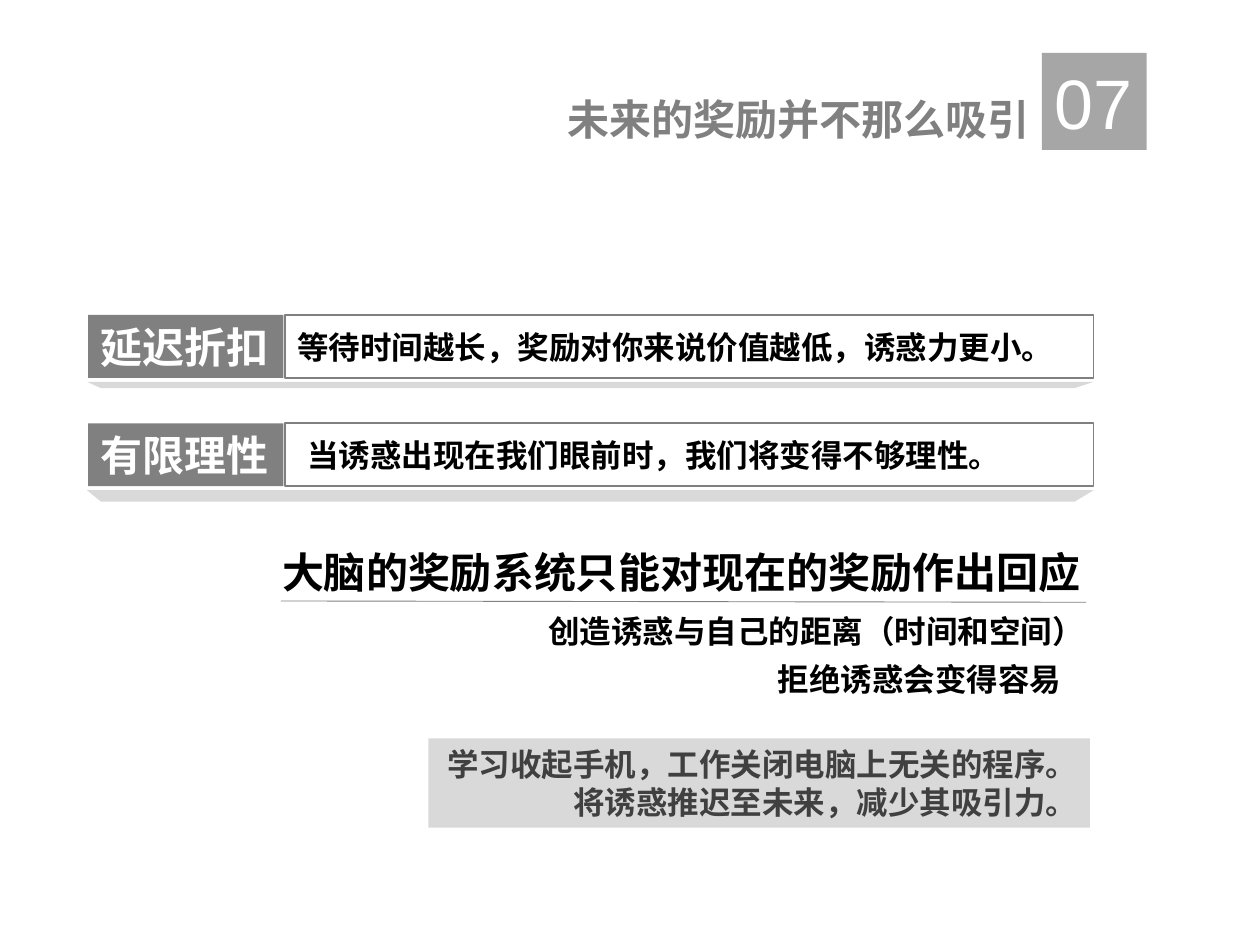
from pptx import Presentation
from pptx.dml.color import RGBColor
from pptx.enum.shapes import MSO_CONNECTOR, MSO_SHAPE
from pptx.enum.text import MSO_ANCHOR, PP_ALIGN
from pptx.oxml.ns import qn
from pptx.util import Inches, Pt
from lxml import etree

RECT = MSO_SHAPE.RECTANGLE
LINE = MSO_CONNECTOR.STRAIGHT
MID = MSO_ANCHOR.MIDDLE
LEFT, RIGHT, JUST = PP_ALIGN.LEFT, PP_ALIGN.RIGHT, PP_ALIGN.JUSTIFY
SANS, ARIAL = "Noto Sans CJK SC", "Arial"
C = {"gray": "808080", "mid": "A6A6A6", "pale": "D9D9D9",
     "dark": "404040", "black": "000000", "white": "FFFFFF"}

prs = Presentation()
prs.slide_width, prs.slide_height = Inches(10), Inches(7.5)
slide = prs.slides.add_slide(prs.slide_layouts[5])
shapes = slide.shapes


def write(shape, lines, size, color, align=LEFT, font=SANS, bold=True, wrap=True):
    frame = shape.text_frame
    frame.word_wrap = wrap
    frame.vertical_anchor = MID
    for i, line in enumerate(lines):
        para = frame.add_paragraph() if i else frame.paragraphs[0]
        para.alignment = align
        if len(lines) > 1:
            para.line_spacing = Pt(21.7)
        run = para.add_run()
        run.text = line
        run.font.size, run.font.bold, run.font.name = Pt(size), bold, font
        run.font.color.rgb = RGBColor.from_string(C[color])
        east = etree.SubElement(run.font._element, qn("a:ea"))
        east.set("typeface", SANS)
    return frame


def box(x, y, w, h, fill=None, line=None):
    shape = shapes.add_shape(RECT, Inches(x), Inches(y), Inches(w), Inches(h))
    shape.shadow.inherit = False
    if fill:
        shape.fill.solid()
        shape.fill.fore_color.rgb = RGBColor.from_string(C[fill])
    else:
        shape.fill.background()
    if line:
        shape.line.color.rgb = RGBColor.from_string(C[line])
        shape.line.width = Pt(1)
    else:
        shape.line.fill.background()
    return shape


# Title and number
title = shapes.title
title.left, title.top = Inches(2.51), Inches(0.69)
title.width, title.height = Inches(5.76), Inches(0.5)
write(title, ["未来的奖励并不那么吸引"], 24, "gray", RIGHT)
badge = box(8.27, 0.42, 0.83, 0.77, "mid")
write(badge, ["07"], 40, "white", font=ARIAL, bold=False, wrap=False)

# Two terms: tag, framed text and a slanted edge below
rows = [
    ("延迟折扣", "等待时间越长，奖励对你来说价值越低，诱惑力更小。", 2.5, 0, 0.05),
    ("有限理性", "当诱惑出现在我们眼前时，我们将变得不够理性。", 3.36, 0.08, 0.09),
]
for term, text, top, shift, depth in rows:
    tag = box(0.7, top, 1.55, 0.5, "gray")
    write(tag, [term], 24, "white", font=ARIAL, wrap=False)
    panel = box(2.26, top, 6.42, 0.5, line="gray")
    write(panel, [text], 18, "black", JUST).margin_left = Inches(0.1 + shift)
    low = top + 0.53
    pen = shapes.build_freeform(Inches(0.69), Inches(low))
    pen.add_line_segments([(Inches(x), Inches(y)) for x, y in (
        (8.68, low), (8.53, low + depth), (0.8, low + depth))], close=True)
    edge = pen.convert_to_shape()
    edge.shadow.inherit = False
    edge.fill.solid()
    edge.fill.fore_color.rgb = RGBColor.from_string(C["pale"])
    edge.line.fill.background()

# Key point with rule
point = shapes.add_textbox(Inches(2.14), Inches(4.29), Inches(7.17), Inches(0.5))
write(point, ["大脑的奖励系统只能对现在的奖励作出回应"], 24, "black")
rule = shapes.add_connector(LINE, Inches(2.23), Inches(4.77), Inches(8.62), Inches(4.78))
rule.line.color.rgb = RGBColor.from_string(C["gray"])
rule.line.width = Pt(0.5)
etree.SubElement(rule._element.spPr, qn("a:effectLst"))

# Advice, second line set in from the right
advice = shapes.add_textbox(Inches(1.58), Inches(4.8), Inches(7.12), Inches(0.79))
frame = write(advice, ["创造诱惑与自己的距离（时间和空间）", "拒绝诱惑会变得容易"],
              18, "black", RIGHT)
last = frame.paragraphs[1]
last.space_before = Pt(6)
last._p.get_or_add_pPr().set("marR", str(Inches(0.18)))

# Example
note = box(3.4, 5.86, 5.25, 0.71, "pale")
write(note, ["学习收起手机，工作关闭电脑上无关的程序。", "将诱惑推迟至未来，减少其吸引力。"],
      18, "dark", RIGHT, ARIAL)

prs.save("out.pptx")
